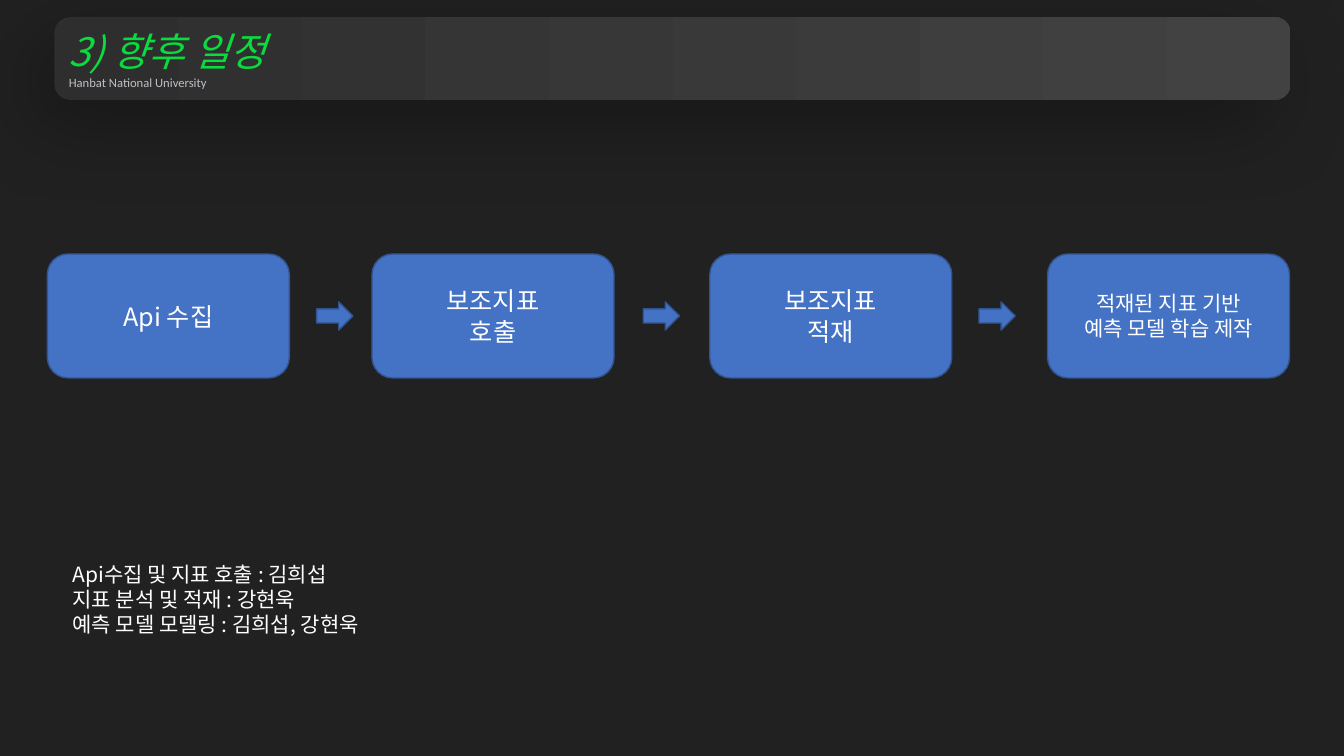
from lxml import etree
from pptx import Presentation
from pptx import util as u
from pptx.dml.color import RGBColor
from pptx.enum import shapes, text
from pptx.oxml import ns

DARK = RGBColor(0x21, 0x21, 0x21)
LEFT = RGBColor(0x2E, 0x2E, 0x2E)
RIGHT = RGBColor(0x42, 0x42, 0x42)
GREEN = RGBColor(0x0A, 0xDB, 0x3F)
GREY = RGBColor(0xBD, 0xC1, 0xC6)
BLUE = RGBColor(0x44, 0x72, 0xC4)
NAVY = RGBColor(0x32, 0x54, 0x91)
WHITE = RGBColor(0xFF, 0xFF, 0xFF)
BLACK = RGBColor(0, 0, 0)
KOREAN = "Noto Sans CJK KR"
FORM = shapes.MSO_SHAPE


def child(parent, tag, **attrs):
    return etree.SubElement(parent, ns.qn(tag), attrs)


def write(frame, lines, size, color=WHITE, align=text.PP_ALIGN.LEFT, **extra):
    style = {"size": u.Pt(size), "name": KOREAN, **extra}
    for line in lines:
        fresh = not frame.paragraphs[0].runs
        para = frame.paragraphs[0] if fresh else frame.add_paragraph()
        para.alignment = align
        run = para.add_run()
        run.text = line
        for key, value in style.items():
            setattr(run.font, key, value)
        run.font.color.rgb = color
        child(run.font._element, "a:ea", typeface=style["name"])


def block(slide, form, box):
    shape = slide.shapes.add_shape(form, *map(u.Inches, box))
    shape.shadow.inherit = False
    shape.fill.solid()
    shape.fill.fore_color.rgb = BLUE
    shape.line.color.rgb = NAVY
    shape.line.width = u.Pt(1)
    return shape


def header(slide, box):
    bar = block(slide, FORM.ROUNDED_RECTANGLE, box)
    bar.adjustments[0] = 0.188
    bar.line.fill.background()
    bar.fill.gradient()
    bar.fill.gradient_angle = 0
    for stop, color in zip(bar.fill.gradient_stops, (LEFT, RIGHT)):
        stop.color.rgb = color
    glow = child(bar._element.spPr.find(ns.qn("a:effectLst")), "a:outerShdw",
                 blurRad=str(u.Pt(59)), dist=str(u.Pt(23)),
                 dir=str(135 * 60000), algn="ctr", rotWithShape="0")
    child(child(glow, "a:srgbClr", val=str(BLACK)), "a:alpha", val="30000")
    frame = bar.text_frame
    frame.vertical_anchor = text.MSO_ANCHOR.MIDDLE
    write(frame, ["3) 향후 일정"], 28, GREEN, italic=True)
    write(frame, ["Hanbat National University"], 9, GREY, name="Calibri")


def flow(slide, box, steps, arrows):
    left, top, wide, high = box
    for start, size, lines in steps:
        step = block(slide, FORM.ROUNDED_RECTANGLE,
                     (left + start, top, wide, high))
        step.text_frame.vertical_anchor = text.MSO_ANCHOR.MIDDLE
        write(step.text_frame, lines, size, align=text.PP_ALIGN.CENTER)
    for start in arrows:
        block(slide, FORM.RIGHT_ARROW,
              (left + start, top + (high - 0.28) / 2, 0.36, 0.28))


def roles(slide, box, lines):
    frame = slide.shapes.add_textbox(*map(u.Inches, box)).text_frame
    frame.word_wrap = True
    write(frame, lines, 15)


deck = Presentation()
deck.slide_width = u.Inches(13.33)
deck.slide_height = u.Inches(7.5)
page = deck.slides.add_slide(deck.slide_layouts[6])
page.background.fill.solid()
page.background.fill.fore_color.rgb = DARK

header(page, (0.54, 0.17, 12.26, 0.82))
flow(page, (0.47, 2.52, 2.4, 1.23), [
    (0, 18, ["Api 수집"]),
    (3.22, 18, ["보조지표", "호출"]),
    (6.57, 18, ["보조지표", "적재"]),
    (9.92, 15, ["적재된 지표 기반", "예측 모델 학습 제작"]),
], (2.67, 5.91, 9.24))
roles(page, (0.62, 5.52, 11.88, 0.86), [
    "Api수집 및 지표 호출 : 김희섭",
    "지표 분석 및 적재 : 강현욱",
    "예측 모델 모델링 : 김희섭, 강현욱",
])
deck.save("out.pptx")
